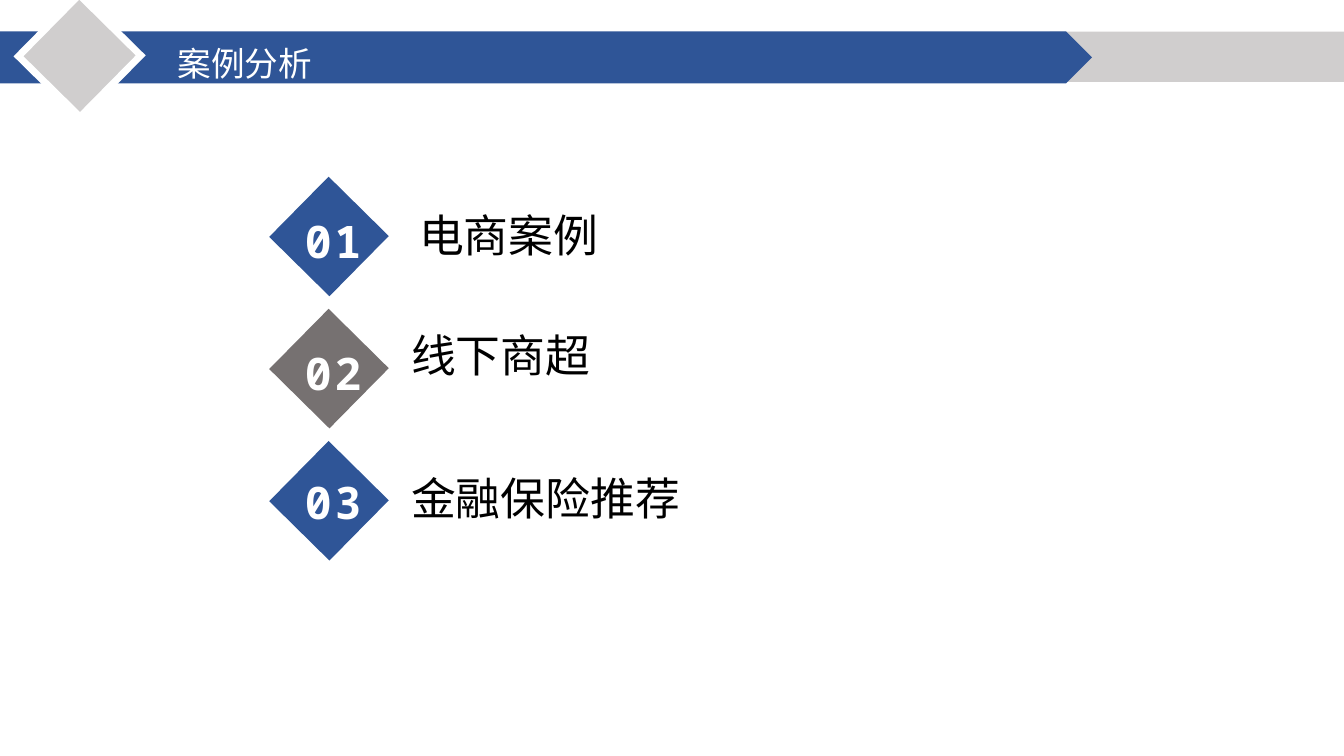
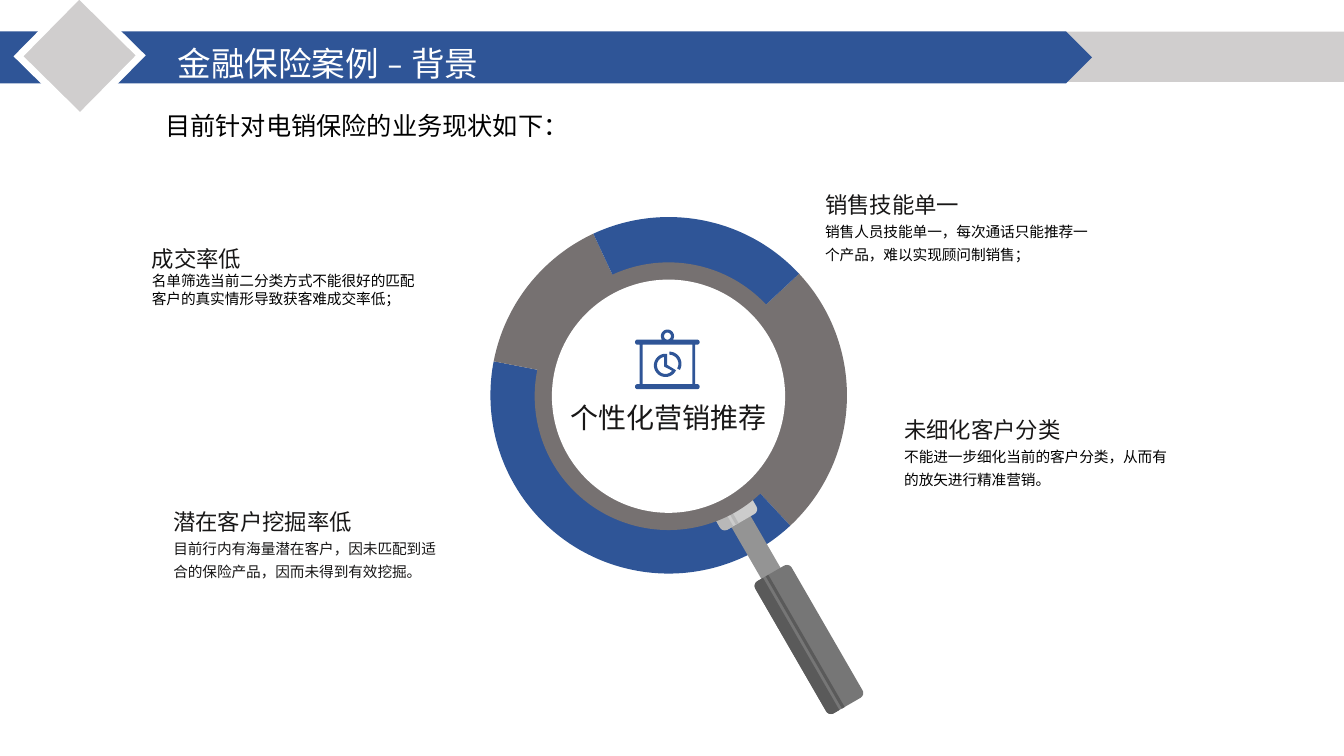
import math
from lxml import etree
from pptx import Presentation
from pptx.chart.data import CategoryChartData
from pptx.dml.color import RGBColor
from pptx.enum import chart as ch, shapes as sh, text as tx
from pptx.oxml import parse_xml
from pptx.oxml.ns import nsdecls, qn
from pptx.util import Pt

BLUE = RGBColor(0x2F, 0x55, 0x97)
GRAY = RGBColor(0x76, 0x71, 0x71)
SILVER = RGBColor(0xD0, 0xCE, 0xCE)
WHITE = RGBColor(0xFF, 0xFF, 0xFF)
BLACK = RGBColor(0, 0, 0)
INK = RGBColor(0x18, 0x17, 0x17)
STEM = RGBColor(0x94, 0x94, 0x94)
COLLAR = RGBColor(0xCC, 0xCC, 0xCC)
COLLAR_SHADE = RGBColor(0xB8, 0xB8, 0xB8)
GRIP = RGBColor(0x76, 0x76, 0x76)
GRIP_SHADE = RGBColor(0x5A, 0x5A, 0x5A)

SANS, MONO, BASE = "Noto Sans CJK SC", "Noto Sans Mono", "Calibri"
DIAMOND_TURN = 314.6
MSO = sh.MSO_SHAPE

AGENDA_TITLE = "案例分析"
AGENDA = [
    ("01", "电商案例", BLUE, 149, (292.3, 144.7)),
    ("02", "线下商超", GRAY, 243.4, (286.6, 230.4)),
    ("03", "金融保险推荐", BLUE, 335.5, (286.6, 332.8)),
]

CASE_TITLE = "金融保险案例 – 背景"
CASE_LEAD = "目前针对电销保险的业务现状如下："
CASE_CENTER = "个性化营销推荐"
CASE_ISSUES = [
    ("成交率低", "名单筛选当前二分类方式不能很好的匹配客户的真实情形导致获客难成交率低；",
     (108.5, 175), None, BLACK),
    ("潜在客户挖掘率低", "目前行内有海量潜在客户，因未匹配到适合的保险产品，因而未得到有效挖掘。",
     (123.8, 362.9), 1.3, INK),
    ("销售技能单一", "销售人员技能单一，每次通话只能推荐一个产品，难以实现顾问制销售；",
     (589.4, 136.3), 1.3, BLACK),
    ("未细化客户分类", "不能进一步细化当前的客户分类，从而有的放矢进行精准营销。",
     (645.9, 297.2), 1.3, BLACK),
]
RING = [("1", 25, GRAY), ("2", 40, BLUE), ("3", 15, GRAY), ("4", 20, BLUE)]

LENS_X, LENS_Y = 477.5, 283
LENS_DISCS = [(95.6, GRAY), (83.3, WHITE)]
HANDLE_TILT = math.radians(30)
HANDLE_PARTS = [
    (-7.8, 95.8, 15.8, 59.8, (0, 0, 0, 0), STEM),
    (-15, 75.6, 30, 28, (4, 4, 4, 4), COLLAR),
    (-15, 146.2, 30, 109, (4, 4, 4, 4), GRIP),
    (-15, 146.2, 8.6, 109, (4, 0, 0, 4), GRIP_SHADE),
    (-4.2, 146.2, 2.2, 109, (0, 0, 0, 0), GRIP_SHADE),
    (-15, 87.2, 8.6, 16.4, (0, 0, 0, 4), COLLAR_SHADE),
    (-4.2, 87.2, 2.2, 16.4, (0, 0, 0, 0), COLLAR_SHADE),
]
BOARD_BARS = [
    (453.6, 242.6, 46.2, 3.6, (1.8, 1.8, 1.8, 1.8)),
    (453.6, 274.4, 46.2, 3.6, (1.8, 1.8, 1.8, 1.8)),
    (457, 246.2, 2, 28.2, (0, 0, 0, 0)),
    (494.6, 246.2, 2, 28.2, (0, 0, 0, 0)),
]
HOOK, PIE, SLICE = (476.8, 240.1), (475.4, 261), (478.1, 259.9)


def points(values):
    return [Pt(value) for value in values]


def paint(shape, fill=None, line=None, weight=1):
    shape.shadow.inherit = False
    shape.fill.solid()
    shape.fill.fore_color.rgb = fill
    if line is None:
        shape.line.fill.background()
    else:
        shape.line.color.rgb = line
        shape.line.width = Pt(weight)
        outline = shape.element.spPr.find(qn("a:ln"))
        etree.SubElement(outline, qn("a:miter")).set("lim", "800000")
    return shape


def add_preset(slide, kind, box, **look):
    return paint(slide.shapes.add_shape(kind, *points(box)), **look)


def add_diamond(slide, left, top, side, **look):
    add_preset(slide, MSO.RECTANGLE, (left, top, side, side), **look).rotation = DIAMOND_TURN


def write(paragraph, words, size=16, color=BLACK, font=BASE, bold=False,
          align=tx.PP_ALIGN.LEFT, spacing=None, tracking=None, indent=None):
    paragraph.alignment = align
    if spacing:
        paragraph.line_spacing = spacing
    if indent:
        props = paragraph._p.get_or_add_pPr()
        props.set("marL", "0")
        props.set("indent", str(Pt(indent)))
    run = paragraph.add_run()
    run.text = words
    run.font.size, run.font.bold, run.font.name = Pt(size), bold, font
    run.font.color.rgb = color
    props = run._r.get_or_add_rPr()
    if tracking:
        props.set("spc", str(tracking * 100))
    latin = props.find(qn("a:latin"))
    east_asian = etree.Element(qn("a:ea"))
    east_asian.set("typeface", BASE)
    latin.addnext(east_asian)


def add_text(slide, box, wrap=True, inset=None, **look):
    frame = slide.shapes.add_textbox(*points(box)).text_frame
    frame.word_wrap = wrap
    if inset is not None:
        frame.margin_left = frame.margin_top = Pt(inset)
        frame.margin_right = frame.margin_bottom = Pt(inset)
    write(frame.paragraphs[0], **look)
    return frame


def add_titled_slide(deck, heading):
    slide = deck.slides.add_slide(deck.slide_layouts[5])
    add_preset(slide, MSO.RECTANGLE, (750, 22.6, 210, 36), fill=SILVER)
    add_preset(slide, MSO.PENTAGON, (0, 22.4, 780, 37.2), fill=BLUE)
    title = slide.shapes.title
    slide.shapes.element.append(title.element)
    title.left, title.top, title.width, title.height = points((119.6, 18.7, 381, 41))
    frame = title.text_frame
    frame.vertical_anchor = tx.MSO_ANCHOR.TOP
    frame.auto_size = tx.MSO_AUTO_SIZE.NONE
    frame.word_wrap = True
    write(frame.paragraphs[0], heading, size=24, color=WHITE, font=SANS, spacing=1.3)
    add_diamond(slide, 26, 9, 61.8, fill=SILVER, line=WHITE, weight=5)
    return slide


def add_ring_chart(slide):
    data = CategoryChartData(number_format="General")
    data.categories = [name for name, _, _ in RING]
    data.add_series("Series 1", [share for _, share, _ in RING])
    chart = slide.shapes.add_chart(
        ch.XL_CHART_TYPE.DOUGHNUT, *points((338.8, 140.9, 275, 283)), data).chart
    chart.has_legend = chart.has_title = False
    chart.font.size, chart.font.name = Pt(18), BASE
    chart.font.color.rgb = BLACK
    plot = chart.plots[0]
    plot.vary_by_categories = True
    plot.has_data_labels = False
    for index, (_, _, color) in enumerate(RING):
        fmt = plot.series[0].points[index].format
        fmt.fill.solid()
        fmt.fill.fore_color.rgb = color
        fmt.line.fill.background()
    doughnut = chart.element.find(".//" + qn("c:doughnutChart"))
    doughnut.find(qn("c:firstSliceAng")).set("val", "47")
    doughnut.find(qn("c:holeSize")).set("val", "90")
    area = chart.element.find(".//" + qn("c:plotArea"))
    for old in area.findall(qn("c:layout")):
        area.remove(old)
    area.insert(0, parse_xml(
        f'<c:layout {nsdecls("c")}><c:manualLayout><c:layoutTarget val="inner"/>'
        '<c:xMode val="edge"/><c:yMode val="edge"/><c:x val="0.04"/><c:y val="0.05"/>'
        '<c:w val="0.93"/><c:h val="0.9"/></c:manualLayout></c:layout>'))


def arc(center, radius, start, end, steps=24):
    angles = [math.radians(start + (end - start) * step / steps) for step in range(steps + 1)]
    return [(center[0] + radius * math.cos(a), center[1] + radius * math.sin(a))
            for a in angles]


def rounded_outline(left, top, width, height, radii):
    right, bottom = left + width, top + height
    corners = [(left, top, 1, 1), (right, top, -1, 1),
               (right, bottom, -1, -1), (left, bottom, 1, -1)]
    outline = []
    for quarter, ((x, y, sx, sy), radius) in enumerate(zip(corners, radii)):
        start = 180 + 90 * quarter
        outline += (arc((x + sx * radius, y + sy * radius), radius, start, start + 90, 6)
                    if radius else [(x, y)])
    return outline


def add_outlines(slide, outlines, color):
    contours = [[(Pt(x), Pt(y)) for x, y in outline] for outline in outlines]
    builder = slide.shapes.build_freeform(*contours[0][0])
    for index, contour in enumerate(contours):
        if index:
            builder.move_to(*contour[0])
        builder.add_line_segments(contour[1:], close=True)
    paint(builder.convert_to_shape(), fill=color)


def add_handle_part(slide, *box, color):
    cos, sin = math.cos(HANDLE_TILT), math.sin(HANDLE_TILT)
    add_outlines(slide, [[(LENS_X + x * cos + y * sin, LENS_Y - x * sin + y * cos)
                          for x, y in rounded_outline(*box)]], color)


def add_board_icon(slide):
    outlines = [rounded_outline(*bar) for bar in BOARD_BARS]
    outlines += [
        arc(HOOK, 4.7, 148, 392),
        arc(HOOK, 2.5, 360, 0),
        arc(PIE, 8.3, 25, 278) + [(476.6, 260.6)],
        arc(PIE, 6.1, 261, 39) + [(474.5, 261.9)],
        arc(SLICE, 8.7, 270, 390) + arc(SLICE, 6.5, 390, 270),
    ]
    add_outlines(slide, outlines, BLUE)


def build_agenda(deck):
    slide = add_titled_slide(deck, AGENDA_TITLE)
    for row, (number, label, color, number_top, label_at) in enumerate(AGENDA):
        add_diamond(slide, 204.8, 138.7 + 94.4 * row, 60.4, fill=color)
        add_text(slide, (205.3, number_top, 65.5, 46), wrap=False, words=number, size=32,
                 color=WHITE, font=MONO, bold=True, tracking=2, align=tx.PP_ALIGN.CENTER)
        add_text(slide, (*label_at, 280, 46), words=label, size=32)


def build_case(deck):
    slide = add_titled_slide(deck, CASE_TITLE)
    add_ring_chart(slide)
    for *box, color in HANDLE_PARTS:
        add_handle_part(slide, *box, color=color)
    for radius, color in LENS_DISCS:
        add_preset(slide, MSO.OVAL,
                   (LENS_X - radius, LENS_Y - radius, 2 * radius, 2 * radius), fill=color)
    add_board_icon(slide)
    add_text(slide, (401.8, 285.8, 151.2, 24.5), inset=0, words=CASE_CENTER, size=20,
             color=INK, font=SANS, align=tx.PP_ALIGN.CENTER)
    for heading, detail, place, spacing, color in CASE_ISSUES:
        frame = add_text(slide, (*place, 192.2, 60), inset=0, words=heading,
                         color=INK, font=SANS)
        write(frame.add_paragraph(), detail, size=10.5, color=color, font=SANS,
              spacing=spacing)
    add_text(slide, (90, 74.9, 480, 29), words=CASE_LEAD, size=18, font=SANS,
             align=tx.PP_ALIGN.JUSTIFY, indent=21)


def main():
    deck = Presentation()
    deck.slide_width, deck.slide_height = Pt(960), Pt(540)
    build_agenda(deck)
    build_case(deck)
    deck.save("out.pptx")


if __name__ == "__main__":
    main()
